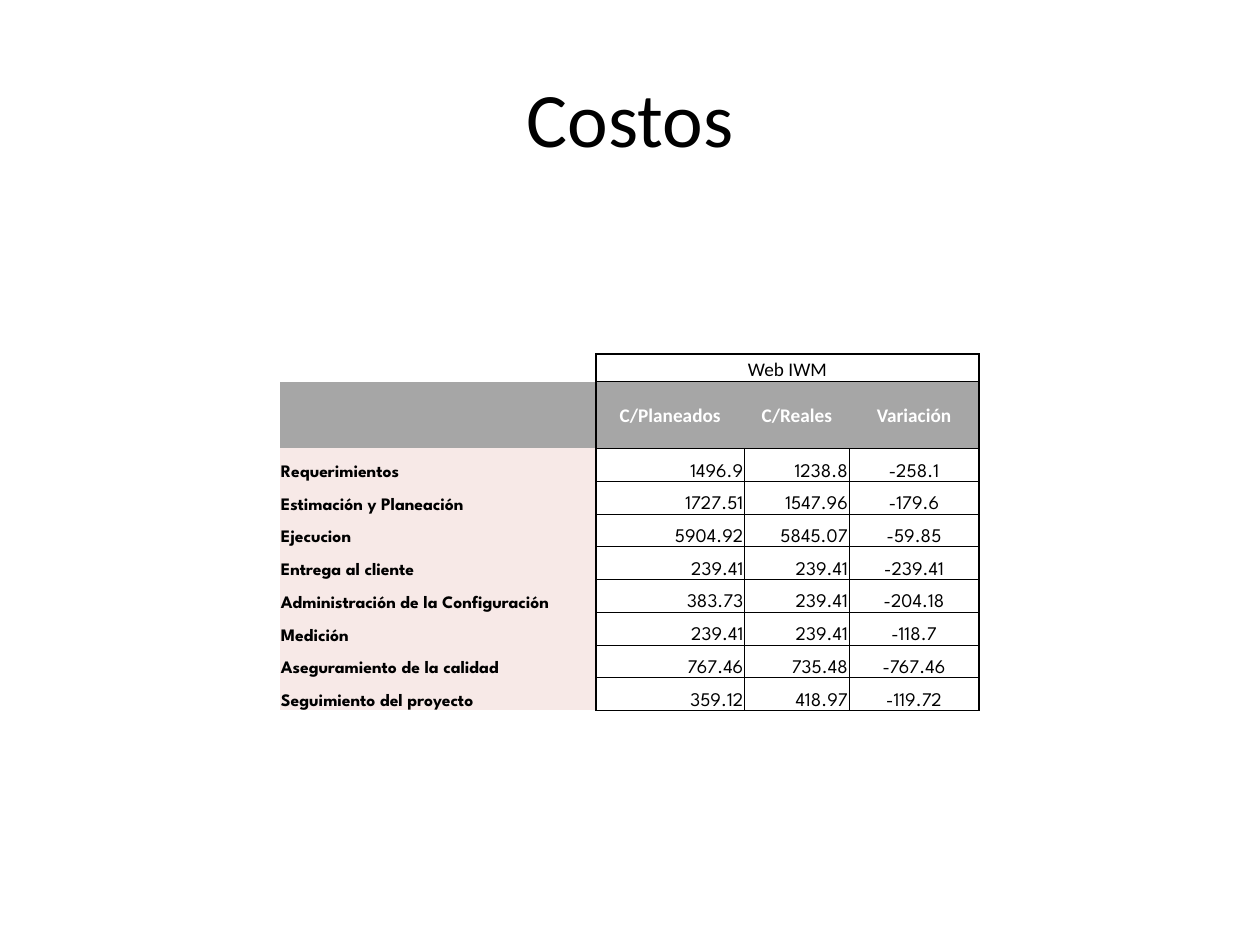
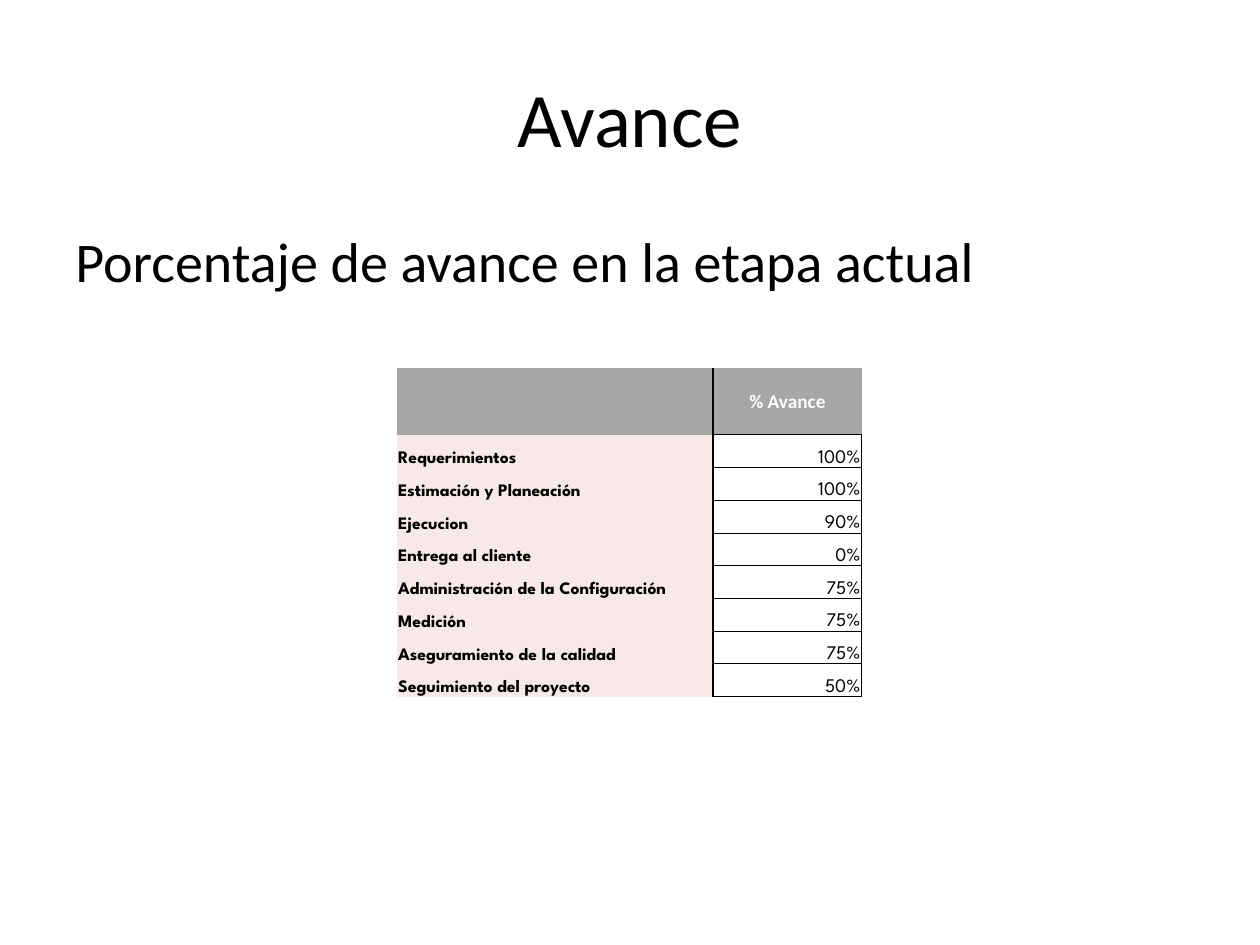
from dataclasses import dataclass

from lxml import etree
from pptx import Presentation
from pptx import util as u
from pptx.dml.color import RGBColor
from pptx.enum import text
from pptx.oxml import ns

ALIGN = text.PP_ALIGN
ANCHOR = text.MSO_ANCHOR


@dataclass(frozen=True)
class Theme:
    ink: str = "000000"
    paper: str = "FFFFFF"
    head: str = "A6A6A6"
    label: str = "F7E9E7"
    sans: str = "Calibri"
    round: str = "League Spartan"
    title: int = 44
    body: int = 32
    cell: int = 11
    small: int = 10
    thick: float = 1
    thin: float = 0.5


THEME = Theme()
HIGH, LOW, TOP = 0.53, 0.26, 0.22
WIDE = 2.51
PHASES = ["Requerimientos", "Estimación y Planeación", "Ejecucion",
          "Entrega al cliente", "Administración de la Configuración",
          "Medición", "Aseguramiento de la calidad",
          "Seguimiento del proyecto"]
COSTS = [("1496.9", "1238.8", "-258.1"),
         ("1727.51", "1547.96", "-179.6"),
         ("5904.92", "5845.07", "-59.85"),
         ("239.41", "239.41", "-239.41"),
         ("383.73", "239.41", "-204.18"),
         ("239.41", "239.41", "-118.7"),
         ("767.46", "735.48", "-767.46"),
         ("359.12", "418.97", "-119.72")]
SHARES = [("100%",), ("100%",), ("90%",), ("0%",),
          ("75%",), ("75%",), ("75%",), ("50%",)]
ACCENTS = (3, 5)  # data rows with a thick line after the first value


def style(para, size, face, color=THEME.ink, bold=False, align=ALIGN.LEFT):
    para.alignment = align
    font = para.font
    font.size, font.name, font.bold = u.Pt(size), face, bold
    font.color.rgb = RGBColor.from_string(color)


def add_text(slide, box, words, size, align, anchor):
    frame = slide.shapes.add_textbox(*map(u.Inches, box)).text_frame
    frame.word_wrap = True
    frame.vertical_anchor = anchor
    frame.text = words
    style(frame.paragraphs[0], size, THEME.sans, align=align)


def add_title(slide, words):
    add_text(slide, (0.5, 0.3, 9, 1.25), words, THEME.title,
             ALIGN.CENTER, ANCHOR.MIDDLE)


def add_body(slide, words):
    add_text(slide, (0.5, 1.75, 9, 4.95), words, THEME.body,
             ALIGN.LEFT, ANCHOR.TOP)


def rule(cell, **sides):
    """Draw the sides L, R, T and B in points; zero means no line."""
    props = cell._tc.get_or_add_tcPr()
    for side, width in sides.items():
        line = etree.SubElement(props, ns.qn(f"a:ln{side}"),
                                w=str(u.Pt(width)))
        if width:
            fill = etree.SubElement(line, ns.qn("a:solidFill"))
            etree.SubElement(fill, ns.qn("a:srgbClr"), val=THEME.ink)
        else:
            etree.SubElement(line, ns.qn("a:noFill"))


def upright(row, col, count, banner):
    """Width of the line left of a column; data rows start at 0."""
    if col == 0:
        return 0
    if col == 1 or (col == count and banner):
        return THEME.thick
    if row < 0:
        return 0
    return THEME.thick if col == 2 < count and row in ACCENTS else THEME.thin


def level(row, col, banner):
    """Width of the line above a row; data rows start at 0."""
    if col == 0 or (row == -1 and not banner):
        return 0
    return THEME.thick if row < 0 or row == len(PHASES) else THEME.thin


def paint(cell, color):
    if color:
        cell.fill.solid()
        cell.fill.fore_color.rgb = RGBColor.from_string(color)
    else:
        cell.fill.background()


def dress(cell, row, col, align):
    """Set fill, anchor and type by the place of the cell."""
    para = cell.text_frame.paragraphs[0]
    cell.margin_left = cell.margin_right = cell.margin_top = u.Inches(0.01)
    cell.margin_bottom = 0
    cell.vertical_anchor = ANCHOR.MIDDLE if row == -1 else ANCHOR.BOTTOM
    if row == -1:
        paint(cell, THEME.head)
        style(para, THEME.cell, THEME.sans, THEME.paper, True, ALIGN.CENTER)
    elif row < 0:
        paint(cell, None)
        style(para, THEME.cell, THEME.sans, align=ALIGN.CENTER)
    elif col == 0:
        paint(cell, THEME.label)
        style(para, THEME.small, THEME.round, bold=True)
    else:
        paint(cell, None)
        style(para, THEME.cell, THEME.round, align=align)


def add_grid(slide, left, top, widths, heads, values, aligns, banner=None):
    """Place a table of phases, with a merged banner row if one is given."""
    widths = [WIDE, *widths]
    rows = [("", *heads)]
    rows += [(name, *vals) for name, vals in zip(PHASES, values)]
    highs = [HIGH] + [LOW] * len(PHASES)
    if banner:
        rows.insert(0, ("", banner) + ("",) * (len(heads) - 1))
        highs.insert(0, TOP)
    count, first = len(widths), len(rows) - len(PHASES)
    box = (left, top, sum(widths), sum(highs))
    grid = slide.shapes.add_table(len(rows), count,
                                  *map(u.Inches, box)).table
    grid.first_row = grid.horz_banding = False
    for col, width in zip(grid.columns, widths):
        col.width = u.Inches(width)
    for row, high in zip(grid.rows, highs):
        row.height = u.Inches(high)
    if banner:
        grid.cell(0, 1).merge(grid.cell(0, count - 1))
    for index, words in enumerate(rows):
        row = index - first
        for col, word in enumerate(words):
            cell = grid.cell(index, col)
            if word:
                cell.text = word
            end = col + cell.span_width
            rule(cell, L=upright(row, col, count, banner),
                 R=upright(row, end, count, banner),
                 T=level(row, col, banner), B=level(row + 1, col, banner))
            dress(cell, row, col, (ALIGN.LEFT, *aligns)[col])


def cost_slide(slide):
    add_title(slide, "Costos")
    add_grid(slide, 2.22, 2.81, (1.18, 0.83, 1.03),
             ("C/Planeados", "C/Reales", "Variación"), COSTS,
             (ALIGN.RIGHT, ALIGN.RIGHT, ALIGN.CENTER), "Web IWM")


def progress_slide(slide):
    add_title(slide, "Avance")
    add_body(slide, "Porcentaje de avance en la etapa actual")
    add_grid(slide, 3.15, 2.92, (1.18,), ("% Avance",), SHARES,
             (ALIGN.RIGHT,))


def main():
    deck = Presentation()
    deck.slide_width, deck.slide_height = u.Inches(10), u.Inches(7.5)
    for build in (cost_slide, progress_slide):
        build(deck.slides.add_slide(deck.slide_layouts[6]))
    deck.save("out.pptx")


if __name__ == "__main__":
    main()
